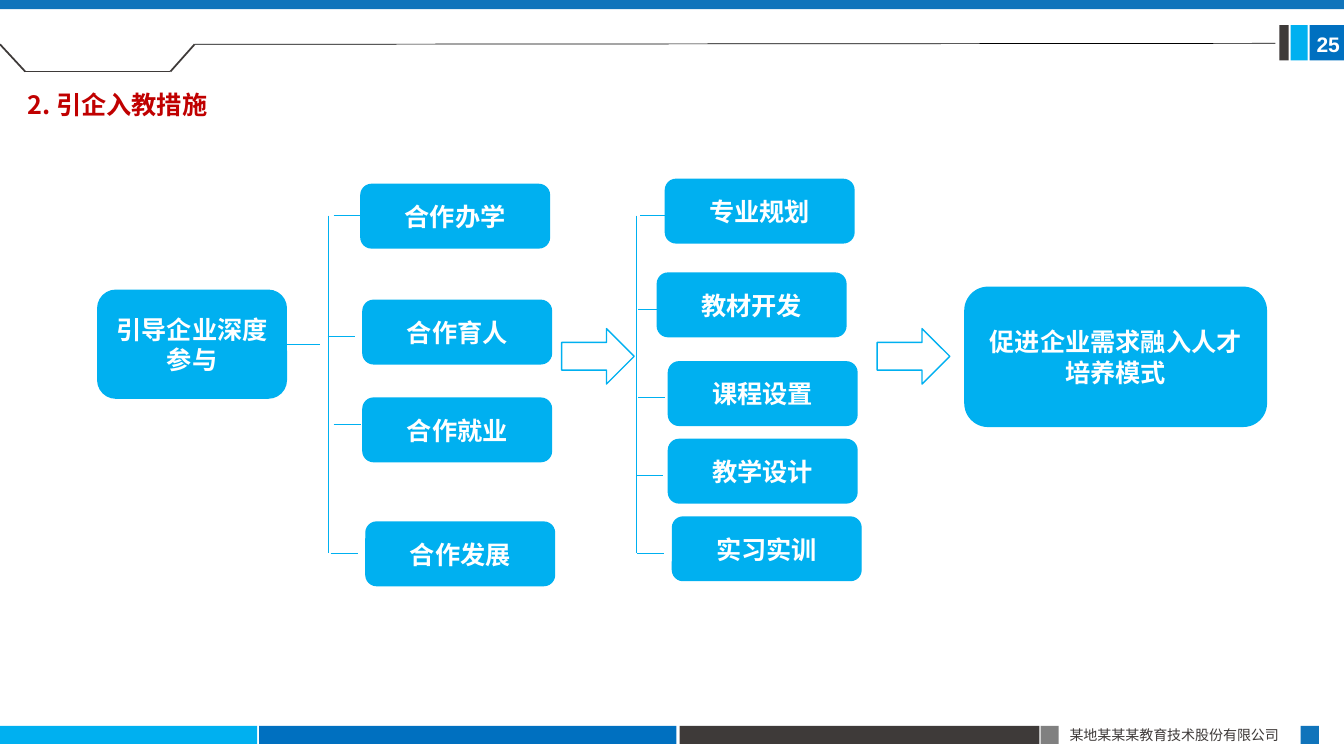
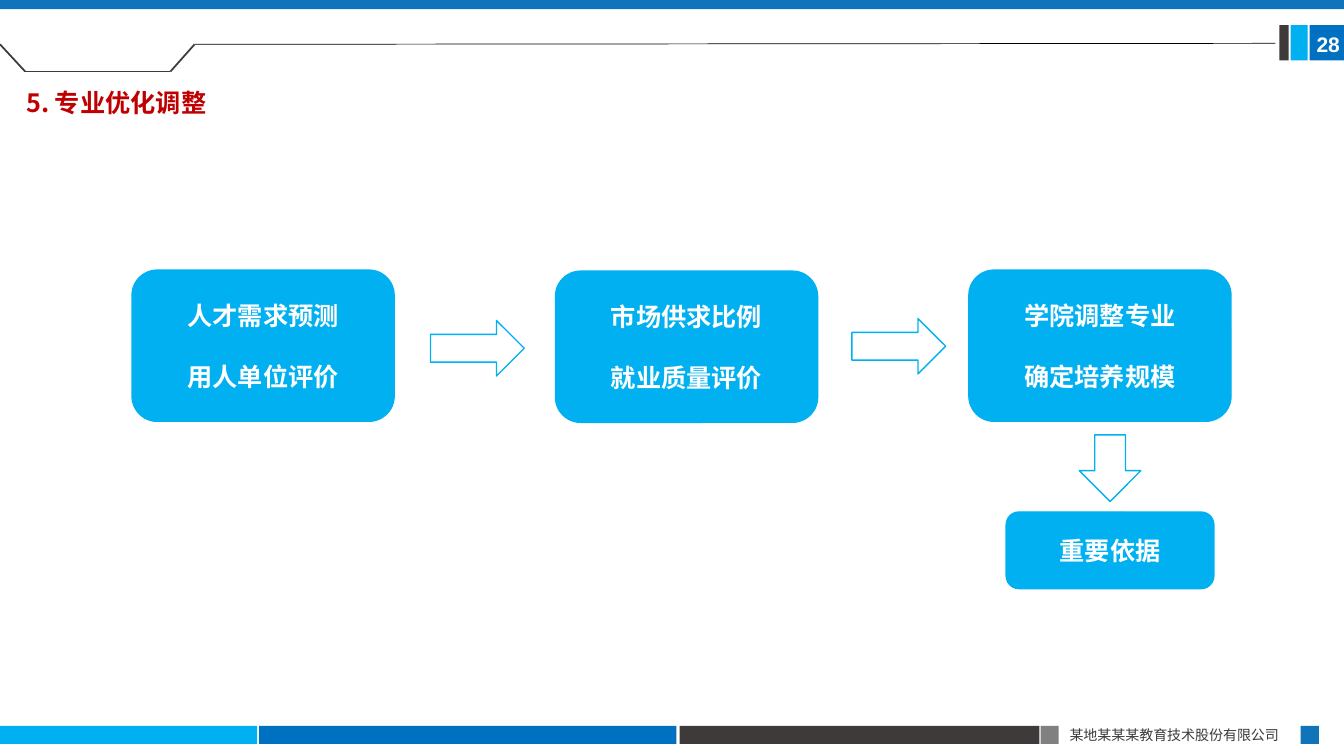
"""Build two flow-diagram slides on vocational education measures."""
from dataclasses import dataclass

import pptx
import pptx.dml.color
import pptx.enum.shapes
import pptx.enum.text
import pptx.oxml.ns
import pptx.util
from lxml import etree

Inches = pptx.util.Inches
Pt = pptx.util.Pt
SHAPE = pptx.enum.shapes.MSO_SHAPE
ALIGN = pptx.enum.text.PP_ALIGN
ANCHOR = pptx.enum.text.MSO_ANCHOR
qn = pptx.oxml.ns.qn

COLOURS = {
    "sky": "00B0F0", "blue": "0070C0", "band": "1074BB", "dark": "3E3A39",
    "grey": "808080", "red": "C00000", "white": "FFFFFF", "black": "000000",
}
CJK_FONT = "Noto Sans CJK SC"
COMPANY = "某地某某某教育技术股份有限公司"


@dataclass(frozen=True)
class Area:
    left: float
    top: float
    width: float
    height: float

    def lengths(self) -> tuple:
        return tuple(Inches(n) for n in (self.left, self.top, self.width, self.height))


@dataclass(frozen=True)
class Bar:
    area: Area
    colour: str


@dataclass(frozen=True)
class Node:
    area: Area
    lines: tuple[str, ...]


@dataclass(frozen=True)
class Arrow:
    area: Area
    rotation: float = 0


@dataclass(frozen=True)
class Line:
    start: tuple[float, float]
    end: tuple[float, float]
    colour: str = "sky"
    weight: float = 0.5


@dataclass(frozen=True)
class Style:
    size: float
    colour: str
    bold: bool = True
    font: str = CJK_FONT
    align: ALIGN = ALIGN.LEFT
    pitch: float | None = None
    gap: float = 0


@dataclass(frozen=True)
class Page:
    number: str
    title: str
    title_area: Area
    nodes: tuple[Node, ...]
    arrows: tuple[Arrow, ...]
    lines: tuple[Line, ...] = ()


TITLE_STYLE = Style(18, "red", pitch=28)
NODE_STYLE = Style(18, "white", align=ALIGN.CENTER, pitch=22, gap=21)
NUMBER_STYLE = Style(15, "white", font="Arial")
FOOTER_STYLE = Style(10, "dark", bold=False)

BARS = (
    Bar(Area(0, 7.2, 2.55, 0.18), "sky"),
    Bar(Area(2.57, 7.2, 4.14, 0.18), "blue"),
    Bar(Area(6.74, 7.2, 3.57, 0.18), "dark"),
    Bar(Area(10.32, 7.2, 0.18, 0.18), "grey"),
    Bar(Area(12.9, 7.2, 0.18, 0.18), "band"),
    Bar(Area(12.99, 0.25, 0.34, 0.35), "blue"),
    Bar(Area(12.8, 0.25, 0.17, 0.35), "sky"),
    Bar(Area(12.69, 0.25, 0.09, 0.35), "dark"),
    Bar(Area(0, 0, 13.33, 0.09), "band"),
)
HEADER_LINES = (
    Line((0.25, 0.71), (1.69, 0.71), "dark", 1.25),
    Line((1.69, 0.71), (1.93, 0.44), "dark", 1.25),
    Line((0.25, 0.71), (0, 0.44), "dark", 1.25),
    Line((1.93, 0.44), (12.65, 0.43), "black"),
)


def column(items: tuple[tuple[float, float, str], ...]) -> tuple[Node, ...]:
    return tuple(Node(Area(left, top, 1.87, 0.63), (text,)) for left, top, text in items)


def bracket(spine: float, ticks: tuple[tuple[float, float], ...]) -> tuple[Line, ...]:
    stem = Line((spine, ticks[0][1]), (spine, ticks[-1][1]))
    return (stem, *(Line((x, y), (x + 0.27, y)) for x, y in ticks))


PAGES = (
    Page(
        "25", "2. 引企入教措施", Area(0.17, 0.75, 2.1, 0.49),
        nodes=(
            Node(Area(0.97, 2.88, 1.87, 1.07), ("引导企业深度参与",)),
            *column((
                (3.58, 1.83, "合作办学"), (3.6, 2.98, "合作育人"),
                (3.6, 3.95, "合作就业"), (3.63, 5.18, "合作发展"),
            )),
            *column((
                (6.6, 1.78, "专业规划"), (6.52, 2.71, "教材开发"),
                (6.63, 3.59, "课程设置"), (6.63, 4.36, "教学设计"),
                (6.67, 5.13, "实习实训"),
            )),
            Node(Area(9.57, 2.85, 2.99, 1.38), ("促进企业需求融入人才培养模式",)),
        ),
        arrows=tuple(Arrow(Area(left, 3.26, 0.72, 0.55)) for left in (5.57, 8.7)),
        lines=(
            Line((2.83, 3.42), (3.17, 3.42)),
            *bracket(3.26, ((3.31, 2.14), (3.25, 3.34), (3.31, 4.21), (3.28, 5.49))),
            *bracket(6.31, ((6.35, 2.14), (6.33, 3.07), (6.33, 3.94),
                            (6.31, 4.72), (6.32, 5.49))),
        ),
    ),
    Page(
        "28", "5. 专业优化调整", Area(0.16, 0.73, 2.02, 0.88),
        nodes=(
            Node(Area(1.31, 2.68, 2.6, 1.5), ("人才需求预测", "用人单位评价")),
            Node(Area(5.51, 2.69, 2.6, 1.5), ("市场供求比例", "就业质量评价")),
            Node(Area(9.61, 2.68, 2.6, 1.5), ("学院调整专业", "确定培养规模")),
            Node(Area(9.98, 5.08, 2.06, 0.76), ("重要依据",)),
        ),
        arrows=(
            Arrow(Area(4.27, 3.18, 0.93, 0.55)),
            Arrow(Area(8.45, 3.16, 0.93, 0.55)),
            Arrow(Area(10.68, 4.34, 0.66, 0.61), 90),
        ),
    ),
)


def rgb(name: str) -> pptx.dml.color.RGBColor:
    return pptx.dml.color.RGBColor.from_string(COLOURS[name])


def write(frame, lines: tuple[str, ...], style: Style, anchor: ANCHOR = ANCHOR.MIDDLE) -> None:
    frame.auto_size = pptx.enum.text.MSO_AUTO_SIZE.NONE
    frame.vertical_anchor = anchor
    for index, text in enumerate(lines):
        para = frame.add_paragraph() if index else frame.paragraphs[0]
        para.alignment = style.align
        if style.pitch:
            para.line_spacing = Pt(style.pitch)
        if index:
            para.space_before = Pt(style.gap)
        span = para.add_run()
        span.text = text
        font = span.font
        font.name, font.size, font.bold = style.font, Pt(style.size), style.bold
        font.color.rgb = rgb(style.colour)
        east_asian = etree.Element(qn("a:ea"), typeface=style.font)
        font._element.find(qn("a:latin")).addnext(east_asian)


def add_block(slide, kind: SHAPE, area: Area, fill: str, outline: str | None = None):
    shape = slide.shapes.add_shape(kind, *area.lengths())
    shape.shadow.inherit = False
    shape.fill.solid()
    shape.fill.fore_color.rgb = rgb(fill)
    if outline:
        shape.line.color.rgb = rgb(outline)
        shape.line.width = Pt(1)
    else:
        shape.line.fill.background()
    return shape


def add_line(slide, line: Line) -> None:
    points = (Inches(n) for n in (*line.start, *line.end))
    connector = slide.shapes.add_connector(
        pptx.enum.shapes.MSO_CONNECTOR.STRAIGHT, *points)
    connector.line.color.rgb = rgb(line.colour)
    connector.line.width = Pt(line.weight)
    etree.SubElement(connector._element.spPr, qn("a:effectLst"))


def add_label(slide, area: Area, text: str, style: Style, wrap: bool) -> None:
    box = slide.shapes.add_textbox(*area.lengths())
    box.text_frame.word_wrap = wrap
    if not wrap:
        box.text_frame.margin_right = 0
    write(box.text_frame, (text,), style)


def add_furniture(slide, number: str) -> None:
    for bar in BARS:
        add_block(slide, SHAPE.RECTANGLE, bar.area, bar.colour)
    for line in HEADER_LINES:
        add_line(slide, line)
    add_label(slide, Area(10.51, 7.16, 2.4, 0.27), COMPANY, FOOTER_STYLE, True)
    add_label(slide, Area(12.96, 0.26, 0.37, 0.35), number, NUMBER_STYLE, False)


def add_title(slide, text: str, area: Area) -> None:
    title = slide.shapes.title
    title.left, title.top, title.width, title.height = area.lengths()
    title.text_frame.word_wrap = True
    write(title.text_frame, (text,), TITLE_STYLE, ANCHOR.TOP)


def add_node(slide, node: Node) -> None:
    shape = add_block(slide, SHAPE.ROUNDED_RECTANGLE, node.area, "sky", "sky")
    frame = shape.text_frame
    frame.word_wrap = True
    frame.margin_left = frame.margin_right = Inches(0.13)
    frame.margin_top = frame.margin_bottom = Inches(0.06)
    write(frame, node.lines, NODE_STYLE)


def add_page(deck, page: Page) -> None:
    slide = deck.slides.add_slide(deck.slide_layouts[5])
    add_furniture(slide, page.number)
    add_title(slide, page.title, page.title_area)
    for line in page.lines:
        add_line(slide, line)
    for node in page.nodes:
        add_node(slide, node)
    for arrow in page.arrows:
        shape = add_block(slide, SHAPE.RIGHT_ARROW, arrow.area, "white", "sky")
        shape.rotation = arrow.rotation


def main() -> None:
    deck = pptx.Presentation()
    deck.slide_width, deck.slide_height = Inches(13.33), Inches(7.5)
    for page in PAGES:
        add_page(deck, page)
    deck.save("out.pptx")


if __name__ == "__main__":
    main()
